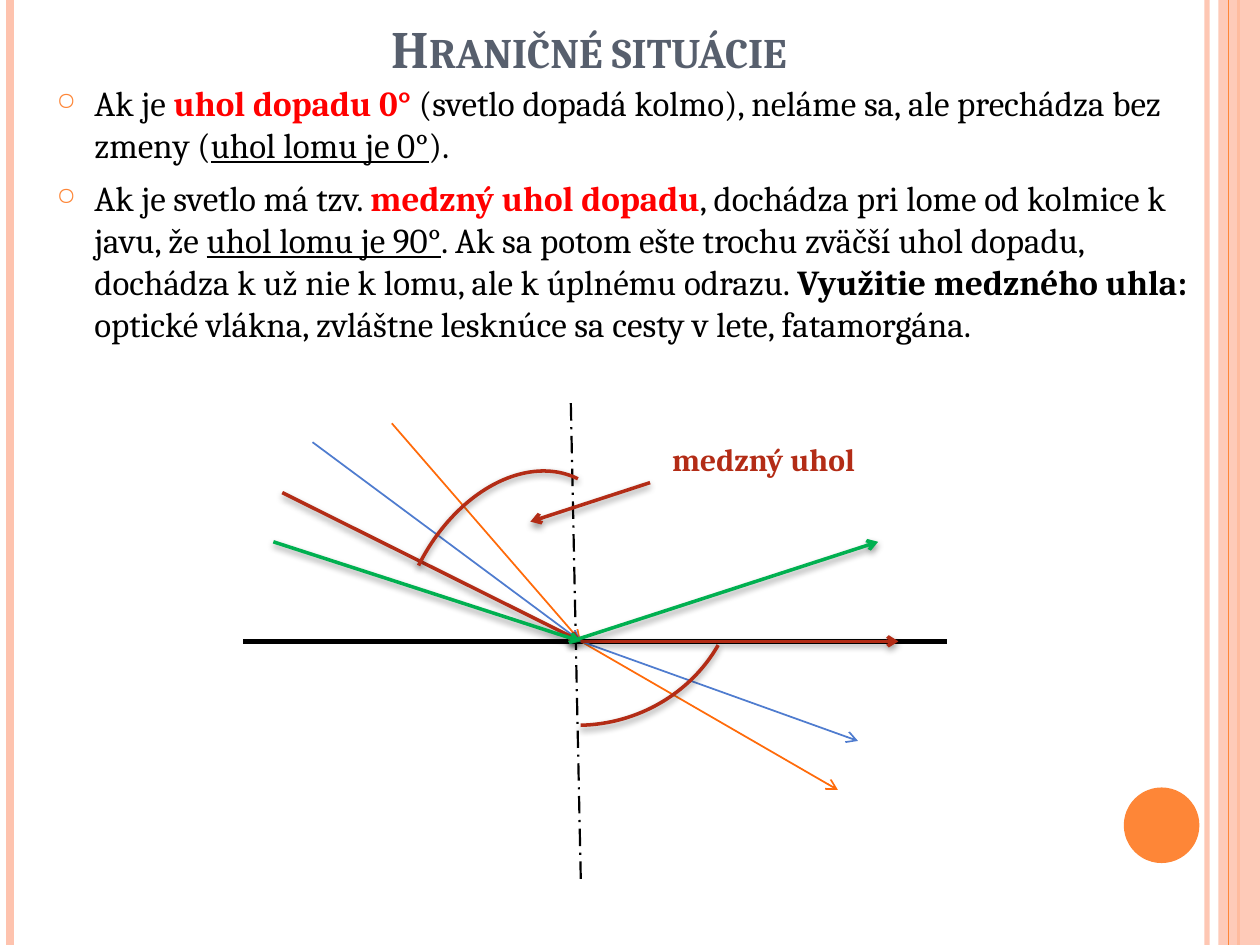
from lxml.etree import SubElement
from pptx import Presentation
from pptx.dml.color import RGBColor
from pptx.enum.dml import MSO_LINE as DASH
from pptx.enum.shapes import MSO_CONNECTOR as CONN, MSO_SHAPE as SHAPE
from pptx.enum.text import MSO_ANCHOR as ANCHOR, MSO_AUTO_SIZE as FIT, PP_ALIGN as ALIGN
from pptx.oxml.ns import qn
from pptx.util import Pt

FONT = "Cambria"
PEACH, ORANGE = "FEC3AE", "FE8637"
BLACK, RED, SLATE = "000000", "FF0000", "575F6D"
AMBER, BLUE, BRICK, GREEN = "FF6B0A", "4F7CCF", "B32C16", "00B050"
HUB = (331.9, 366.5)  # point where the rays meet the boundary


def paint(color_format, color):
    color_format.rgb = RGBColor.from_string(color)


def add_xml(parent, tag, **attrs):
    return SubElement(parent, qn(tag), {k: str(v) for k, v in attrs.items()})


def set_alpha(sp, percent):
    clr = next(sp._element.spPr.iter(qn("a:srgbClr")))
    add_xml(clr, "a:alpha", val=percent * 1000)


def set_effect(sp, shadow):
    effects = add_xml(sp._element.spPr, "a:effectLst")
    if shadow:
        outer = add_xml(effects, "a:outerShdw", blurRad=Pt(4), dist=Pt(2),
                        dir=90 * 60000, rotWithShape=0)
        clr = add_xml(outer, "a:srgbClr", val=BLACK)
        add_xml(clr, "a:alpha", val=40000)


def add_line(s, start, end, color, width, dash=None, arrow=False, shadow=False):
    sp = s.shapes.add_connector(CONN.STRAIGHT, *map(Pt, start + end))
    paint(sp.line.color, color)
    sp.line.width = Pt(width)
    if dash:
        sp.line.dash_style = dash
    if arrow:
        add_xml(sp.line._get_or_add_ln(), "a:tailEnd", type="arrow")
    set_effect(sp, shadow)
    return sp


def add_solid(s, kind, box, color):
    sp = s.shapes.add_shape(kind, *map(Pt, box))
    sp.shadow.inherit = False
    sp.fill.solid()
    paint(sp.fill.fore_color, color)
    sp.line.fill.background()
    return sp


def add_arc(s, box, rotation, adjustments=()):
    sp = s.shapes.add_shape(SHAPE.ARC, *map(Pt, box))
    sp.rotation = rotation
    for i, value in enumerate(adjustments):
        sp.adjustments[i] = value
    sp.fill.background()
    paint(sp.line.color, BRICK)
    sp.line.width = Pt(2)
    set_effect(sp, True)


def add_run(p, text, size, color=BLACK, bold=False, underline=False):
    r = p.add_run()
    r.text = text
    r.font.name, r.font.size = FONT, Pt(size)
    r.font.bold, r.font.underline = bold, underline
    paint(r.font.color, color)
    return r


def add_textbox(s, box):
    tf = s.shapes.add_textbox(*map(Pt, box)).text_frame
    tf.word_wrap = True
    return tf


def add_bullet(p, runs):
    pPr = p._p.get_or_add_pPr()
    pPr.set("marL", str(Pt(21.6)))
    pPr.set("indent", str(-Pt(21.6)))
    add_xml(add_xml(pPr, "a:buClr"), "a:srgbClr", val=ORANGE)
    add_xml(pPr, "a:buSzPct", val=70000)
    add_xml(pPr, "a:buChar", char="○")
    for text, style in runs:
        add_run(p, text, 20, **style)


def add_title(s, text):
    title = s.shapes.title
    title.left, title.top, title.width, title.height = map(Pt, (42.5, 0, 588.2, 49))
    tf = title.text_frame
    tf.auto_size = FIT.NONE
    tf.vertical_anchor = ANCHOR.BOTTOM
    p = tf.paragraphs[0]
    p.alignment = ALIGN.CENTER
    r = add_run(p, text, 30, SLATE, bold=True)
    r._r.get_or_add_rPr().set("cap", "small")


def add_frame(s):
    set_alpha(add_line(s, (689.8, 0), (689.8, 540), PEACH, 3), 93)
    add_line(s, (5.8, 0), (5.8, 540), PEACH, 4.5)
    add_line(s, (707.8, 0), (707.8, 540), ORANGE, 1.5)
    set_alpha(add_solid(s, SHAPE.RECTANGLE, (696.2, 0, 23.8, 540), PEACH), 87)
    add_line(s, (702, 0), (702, 540), ORANGE, 0.75)
    add_solid(s, SHAPE.OVAL, (642.2, 450, 43.2, 43.2), ORANGE)


def add_body(s):
    key = {"color": RED, "bold": True}
    under, bold = {"underline": True}, {"bold": True}
    bullets = [
        [("Ak je ", {}), ("uhol dopadu 0° ", key),
         ("(svetlo dopadá kolmo), neláme sa, ale prechádza bez zmeny (", {}),
         ("uhol lomu je 0°", under), (").", {})],
        [("Ak je svetlo má tzv. ", {}), ("medzný uhol dopadu", key),
         (", dochádza pri lome od kolmice k javu, že ", {}),
         ("uhol lomu je 90°", under),
         (". Ak sa potom ešte trochu zväčší uhol dopadu, dochádza k už nie k lomu, "
          "ale k úplnému odrazu. ", {}),
         ("Využitie medzného uhla: ", bold),
         ("optické vlákna, zvláštne lesknúce sa cesty v lete, fatamorgána.", {})],
    ]
    tf = add_textbox(s, (25.2, 43.2, 663.1, 472.3))
    for i, runs in enumerate(bullets):
        p = tf.add_paragraph() if i else tf.paragraphs[0]
        if i:
            p.space_before = Pt(6)
        add_bullet(p, runs)


def add_diagram(s):
    # Boundary and normal
    add_line(s, (139, 366.5), (541.4, 366.5), BLACK, 3)
    add_line(s, (326.2, 230.4), (331.9, 502.6), BLACK, 1.25, DASH.LONG_DASH_DOT)

    # Refracted rays and the critical ray: incoming, then outgoing
    for color, source, target, width, shadow in [
        (AMBER, (223.9, 241.9), (478.8, 451.4), 1, False),
        (BLUE, (178.6, 252.7), (490.3, 423.4), 1, False),
        (BRICK, (161.3, 281.5), (513.4, 366.5), 2, True),
    ]:
        add_line(s, source, HUB, color, width, arrow=True, shadow=shadow)
        add_line(s, HUB, target, color, width, arrow=True, shadow=shadow)

    # Critical angle with its label
    add_arc(s, (207.4, 290.2, 169.9, 118.8), 296.5)
    add_line(s, (371.5, 275.8), (303.1, 298.1), BRICK, 2, arrow=True, shadow=True)
    p = add_textbox(s, (348.5, 247.7, 175.7, 28.8)).paragraphs[0]
    p.alignment = ALIGN.CENTER
    add_run(p, "medzný uhol", 18, BRICK, bold=True)
    add_arc(s, (245.5, 238.3, 171.4, 180.7), 81.4, (183.25, 4.92))

    # Totally reflected ray
    add_line(s, (156.2, 309.6), HUB, GREEN, 2, arrow=True, shadow=True)
    add_line(s, (326.2, 366.5), (501.8, 309.6), GREEN, 2, arrow=True, shadow=True)


def main():
    prs = Presentation()
    prs.slide_width, prs.slide_height = Pt(720), Pt(540)
    s = prs.slides.add_slide(prs.slide_layouts[5])
    add_frame(s)
    add_title(s, "Hraničné situácie")
    add_body(s)
    add_diagram(s)
    prs.save("out.pptx")


if __name__ == "__main__":
    main()
